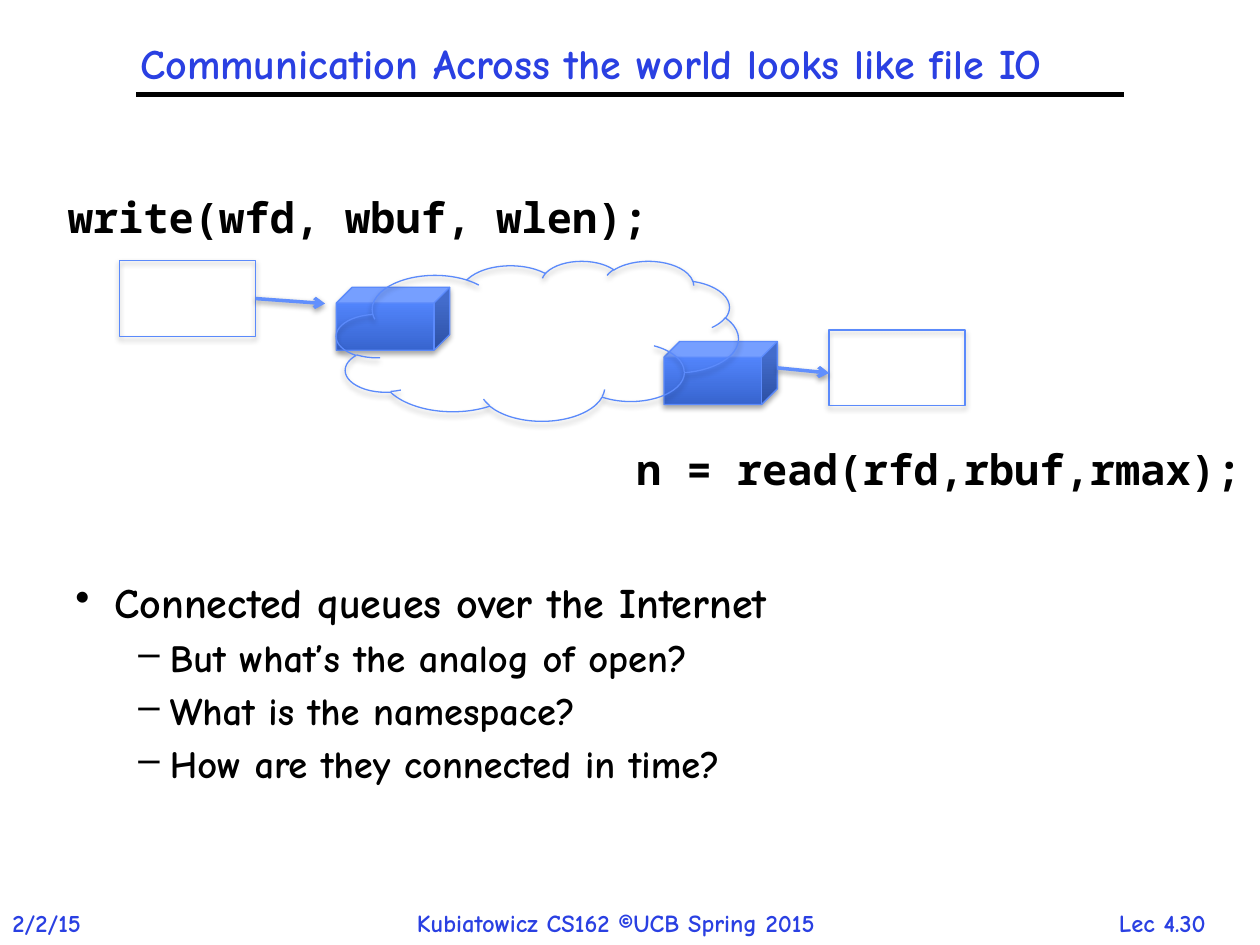
from lxml import etree
from pptx import Presentation
from pptx import util as u
from pptx.dml.color import RGBColor
from pptx.enum import shapes, text
from pptx.oxml import parse_xml
from pptx.oxml.ns import nsdecls, qn

COLORS = {"ink": "000000", "heading": "2A40E2", "outline": "5B8AFB", "arrow": "618FFD",
          "cube_low": "3764CE", "cube_mid": "5487FF", "cube_high": "5688FF"}
HAND, MONO = "Comic Neue", "Noto Sans Mono"

deck = Presentation()
deck.slide_width, deck.slide_height = u.Inches(10), u.Inches(7.5)
page = deck.slides.add_slide(deck.slide_layouts[5])


def area(*percents):
    sides = (deck.slide_width, deck.slide_height) * 2
    return [round(side * percent / 100) for side, percent in zip(sides, percents)]


def write(box, content, size=24, font=HAND, color="ink", align=None, wrap=True,
          new=False, spacing=None):
    frame = box.text_frame
    frame.word_wrap = wrap
    para = frame.add_paragraph() if new else frame.paragraphs[0]
    para.alignment = align
    para.line_spacing = spacing
    span = para.add_run()
    span.text = content
    span.font.size = u.Pt(size)
    span.font.name = font
    span.font.bold = True
    span.font.color.rgb = RGBColor.from_string(COLORS[color])
    return para


center = text.PP_ALIGN.CENTER
for content, place, align in [
    ("Lec 4.30", (86.2, 95.47, 12.1, 4.4), center),
    ("2/2/15", (0, 95.47, 8.8, 4.53), None),
    ("Kubiatowicz CS162 ©UCB Spring 2015", (32.1, 95.47, 38.7, 4.53), None),
]:
    box = page.shapes.add_textbox(*area(*place))
    write(box, content, size=14, color="heading", align=align, wrap=False)

title = page.shapes.title
title.left, title.top, title.width, title.height = area(0, 0.53, 95, 12.8)
title.text_frame.vertical_anchor = text.MSO_ANCHOR.MIDDLE
title.text_frame.auto_size = text.MSO_AUTO_SIZE.NONE
write(title, "Communication Across the world looks like file IO ", color="heading",
      align=center, spacing=0.9)

body = page.shapes.add_textbox(*area(5, 60.93, 90, 30.93))
for index, (content, level) in enumerate([
    ("Connected queues over the Internet", 0),
    ("But what’s the analog of open?", 1),
    ("What is the namespace?", 1),
    ("How are they connected in time?", 1),
]):
    para = write(body, content, size=(24, 22)[level], new=index > 0, spacing=0.9)
    para.level = level
    props = para._p.get_or_add_pPr()
    props.set("marL", str(u.Inches((0.31, 0.75)[level])))
    props.set("indent", str(u.Inches((-0.31, -0.25)[level])))
    before = etree.SubElement(props, qn("a:spcBef"))
    etree.SubElement(before, qn("a:spcPct"), val="30000")
    etree.SubElement(props, qn("a:buChar"), char="•–"[level])

for content, place in [
    ("write(wfd, wbuf, wlen);", (4.4, 19.6, 51.1, 6.67)),
    ("n = read(rfd,rbuf,rmax);", (49.5, 46.27, 50.5, 6.67)),
]:
    write(page.shapes.add_textbox(*area(*place)), content, font=MONO)

kinds = shapes.MSO_SHAPE
for kind, place in [
    (kinds.CUBE, (26.7, 30.4, 9, 6.67)),
    (kinds.RECTANGLE, (9.5, 27.6, 10.8, 8)),
    (kinds.RECTANGLE, (65.8, 34.93, 10.8, 8)),
    (kinds.CUBE, (52.7, 36.13, 9, 6.67)),
    (kinds.CLOUD, (26.7, 27.6, 31.9, 16.93)),
]:
    node = page.shapes.add_shape(kind, *area(*place))
    node.line.color.rgb = RGBColor.from_string(COLORS["outline"])
    node.line.width = u.Pt(0.75)
    node.fill.background()
    if kind == kinds.CUBE:
        stops = "".join(
            f'<a:gs pos="{position}"><a:srgbClr val="{COLORS[name]}"/></a:gs>'
            for position, name in [(0, "cube_low"), (80000, "cube_mid"), (100000, "cube_high")])
        blank = node._element.spPr.find(qn("a:noFill"))
        node._element.spPr.replace(blank, parse_xml(
            f'<a:gradFill {nsdecls("a")} rotWithShape="1"><a:gsLst>{stops}</a:gsLst>'
            '<a:lin ang="16200000" scaled="0"/></a:gradFill>'))
    node.shadow.inherit = False
    effects = node._element.spPr.find(qn("a:effectLst"))
    effects.append(parse_xml(
        f'<a:outerShdw {nsdecls("a")} blurRad="40000" dist="23000" dir="5400000" '
        'rotWithShape="0"><a:srgbClr val="000000"><a:alpha val="35000"/></a:srgbClr>'
        '</a:outerShdw>'))

for ends, color, width in [
    ((10.8, 10, 89.2, 10), "ink", 3),
    ((20.3, 31.6, 25.8, 32.13), "arrow", 2),
    ((61.7, 38.93, 65.8, 39.47), "arrow", 2),
]:
    link = page.shapes.add_connector(shapes.MSO_CONNECTOR.STRAIGHT, *area(*ends))
    link.line.color.rgb = RGBColor.from_string(COLORS[color])
    link.line.width = u.Pt(width)
    effects = etree.SubElement(link._element.spPr, qn("a:effectLst"))
    if color == "arrow":
        etree.SubElement(link.line._get_or_add_ln(), qn("a:tailEnd"), type="arrow")
        effects.append(parse_xml(
            f'<a:outerShdw {nsdecls("a")} blurRad="40000" dist="20000" dir="5400000" '
            'rotWithShape="0"><a:srgbClr val="000000"><a:alpha val="38000"/></a:srgbClr>'
            '</a:outerShdw>'))

deck.save("out.pptx")
